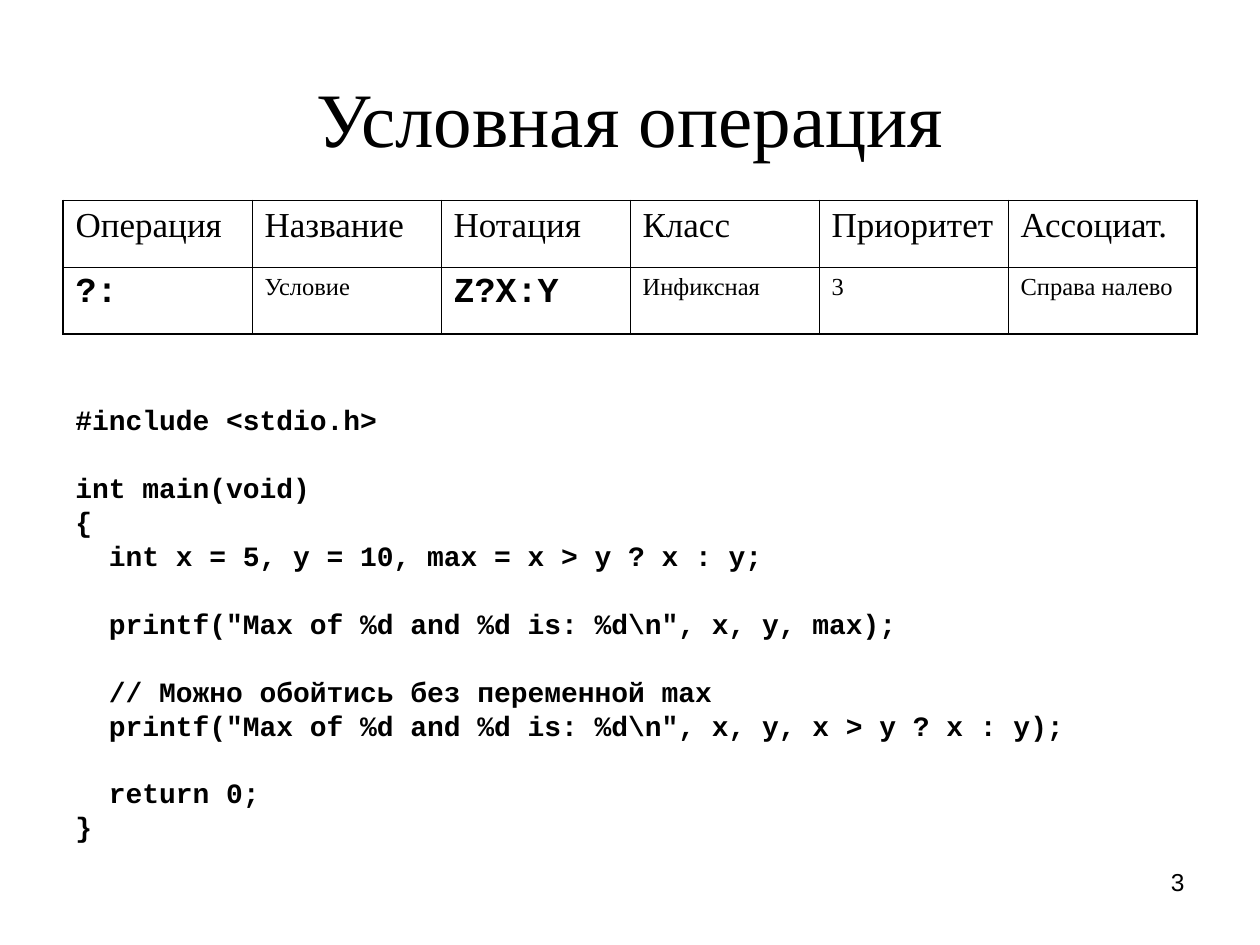
from dataclasses import dataclass

from pptx import Presentation
from pptx import util as u
from pptx.dml import color
from pptx.enum import text
from pptx.oxml import ns
from lxml import etree


@dataclass(frozen=True)
class Theme:
    ink: str = "000000"
    paper: str = "FFFFFF"
    serif: str = "Times New Roman"
    mono: str = "Courier New"
    sans: str = "Arial"
    title: int = 44
    head: int = 20
    small: int = 14
    code: int = 16
    outer: float = 1.08
    inner: float = 0.45


HEADERS = ["Операция", "Название", "Нотация", "Класс", "Приоритет", "Ассоциат."]
VALUES = ["?:", "Условие", "Z?X:Y", "Инфиксная", "3", "Справа налево"]
MONO_COLUMNS = (0, 2)

CODE = r'''
#include <stdio.h>

int main(void)
{
  int x = 5, y = 10, max = x > y ? x : y;

  printf("Max of %d and %d is: %d\n", x, y, max);

  // Можно обойтись без переменной max
  printf("Max of %d and %d is: %d\n", x, y, x > y ? x : y);

  return 0;
}
'''.strip()


def write(p, content, *, size, font, ink, bold=False, align=text.PP_ALIGN.LEFT,
          before=0, spacing=1.0, indent=0):
    """Fill paragraph p; before is in points, indent is a length."""
    p.alignment = align
    p.space_before = u.Pt(before)
    p.line_spacing = spacing
    if indent:
        pPr = p._p.get_or_add_pPr()
        pPr.set("marL", str(int(indent)))
        pPr.set("indent", "0")
    r = p.add_run()
    r.text = content
    f = r.font
    f.size, f.name, f.bold = u.Pt(size), font, bold
    f.color.rgb = color.RGBColor.from_string(ink)


class Deck:
    """Holds the theme and the slide being built."""

    def __init__(self, theme):
        self.theme = theme
        self.prs = Presentation()
        self.prs.slide_width, self.prs.slide_height = u.Inches(10), u.Inches(7.5)
        self.s = self.prs.slides.add_slide(self.prs.slide_layouts[5])
        fill = self.s.background.fill
        fill.solid()
        fill.fore_color.rgb = color.RGBColor.from_string(theme.paper)

    def title(self, content, x, y, w, h):
        t = self.theme
        sp = self.s.shapes.title
        sp.left, sp.top, sp.width, sp.height = map(u.Inches, (x, y, w, h))
        tf = sp.text_frame
        tf.auto_size = text.MSO_AUTO_SIZE.NONE
        tf.vertical_anchor = text.MSO_ANCHOR.MIDDLE
        write(tf.paragraphs[0], content, size=t.title, font=t.serif, ink=t.ink,
              align=text.PP_ALIGN.CENTER)

    def textbox(self, x, y, w, h):
        tf = self.s.shapes.add_textbox(*map(u.Inches, (x, y, w, h))).text_frame
        tf.word_wrap = True
        return tf

    def code(self, source, x, y, w, h, gap=4, blank=19.4):
        """Turn blank lines into space before, and leading spaces into indents."""
        t = self.theme
        tf = self.textbox(x, y, w, h)
        p, before = tf.paragraphs[0], gap
        for line in source.splitlines():
            if not line:
                before += blank
                continue
            p = p if not p.runs else tf.add_paragraph()
            body = line.lstrip()
            indent = u.Pt((len(line) - len(body)) * 0.6 * t.code)
            write(p, body, size=t.code, font=t.mono, ink=t.ink, bold=True,
                  before=before, spacing=0.8, indent=indent)
            before = gap

    def borders(self, cell, **widths):
        """Draw the cell's sides, given as L, R, T, B widths in points."""
        tcPr = cell._tc.get_or_add_tcPr()
        for side, width in widths.items():
            ln = etree.SubElement(tcPr, ns.qn(f"a:ln{side}"), w=str(int(u.Pt(width))))
            fill = etree.SubElement(ln, ns.qn("a:solidFill"))
            etree.SubElement(fill, ns.qn("a:srgbClr"), val=self.theme.ink)

    def table(self, rows, x, y, w, h):
        t = self.theme
        n_rows, n_cols = len(rows), len(rows[0])
        tbl = self.s.shapes.add_table(n_rows, n_cols, *map(u.Inches, (x, y, w, h))).table
        tbl.first_row = tbl.horz_banding = False
        for i, row in enumerate(rows):
            for j, content in enumerate(row):
                cell = tbl.cell(i, j)
                self.borders(cell,
                             L=t.inner if j else t.outer,
                             R=t.inner if j < n_cols - 1 else t.outer,
                             T=t.inner if i else t.outer,
                             B=t.inner if i < n_rows - 1 else t.outer)
                cell.fill.background()
                cell.margin_left = cell.margin_right = u.Inches(0.1)
                cell.margin_top = cell.margin_bottom = u.Inches(0.05)
                mono = i > 0 and j in MONO_COLUMNS
                size = t.head if i == 0 or mono else t.small
                write(cell.text_frame.paragraphs[0], content, size=size,
                      font=t.mono if mono else t.serif, ink=t.ink, bold=mono,
                      before=size / 4)

    def page_number(self, number, x, y, w, h):
        t = self.theme
        write(self.textbox(x, y, w, h).paragraphs[0], str(number), size=t.small,
              font=t.sans, ink=t.ink, align=text.PP_ALIGN.RIGHT)


def main():
    deck = Deck(Theme())
    deck.title("Условная операция", 0.5, 0.3, 9, 1.25)
    deck.code(CODE, 0.5, 3.2, 9, 3.7)
    deck.table([HEADERS, VALUES], 0.5, 1.59, 9, 1.06)
    deck.page_number(3, 7.17, 6.83, 2.33, 0.52)
    deck.prs.save("out.pptx")


if __name__ == "__main__":
    main()
